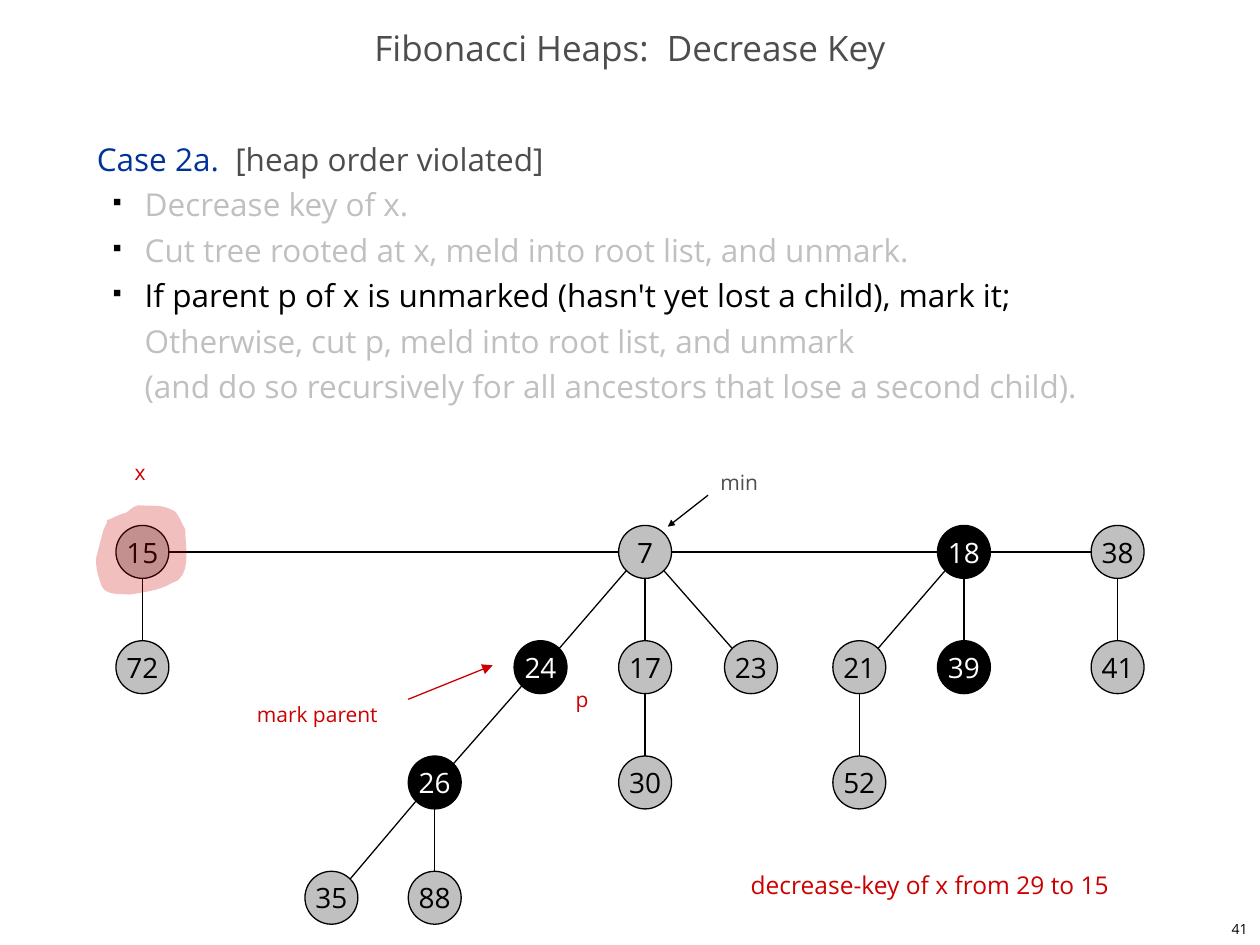
from dataclasses import dataclass

from pptx import Presentation
from pptx.dml.color import RGBColor
from pptx.enum.shapes import MSO_CONNECTOR as Connector, MSO_SHAPE as Shape
from pptx.enum.text import MSO_ANCHOR as Anchor, MSO_AUTO_SIZE as AutoSize, PP_ALIGN as Align
from pptx.oxml.xmlchemy import OxmlElement
from pptx.slide import Slide
from pptx.util import Inches, Pt


@dataclass(frozen=True)
class Theme:
    font: str = "Open Sans"
    black: str = "000000"
    white: str = "FFFFFF"
    marked: str = "010000"
    gray: str = "C0C0C0"
    text: str = "4D4D4D"
    blue: str = "003399"
    red: str = "CC0000"
    title_size: int = 20
    body_size: int = 18
    key_size: int = 16
    caption_size: int = 14
    label_size: int = 12
    number_size: int = 8
    line_width: float = 0.75
    body_spacing: int = 26


@dataclass(frozen=True)
class Node:
    key: int
    x: float
    level: int
    parent: int | None = None
    marked: bool = False

    @property
    def y(self) -> float:
        return 4.38 + 0.915 * self.level


@dataclass(frozen=True)
class Label:
    text: str
    left: float
    top: float
    width: float
    height: float
    size: int
    color: str
    align: Align = Align.LEFT
    anchor: Anchor = Anchor.TOP


@dataclass(frozen=True)
class Arrow:
    start: tuple[float, float]
    end: tuple[float, float]
    color: str
    head: str


THEME = Theme()
RADIUS = 0.21
DIAGONAL = 0.15  # RADIUS at 45 degrees

NODES = [
    Node(15, 1.13, 0), Node(7, 5.12, 0), Node(18, 7.65, 0, marked=True), Node(38, 8.87, 0),
    Node(72, 1.13, 1, 15), Node(24, 4.29, 1, 7, True), Node(17, 5.12, 1, 7),
    Node(23, 5.96, 1, 7), Node(21, 6.82, 1, 18), Node(39, 7.65, 1, 18, True),
    Node(41, 8.87, 1, 38), Node(26, 3.45, 2, 24, True), Node(30, 5.12, 2, 17),
    Node(52, 6.82, 2, 21), Node(35, 2.63, 3, 26), Node(88, 3.45, 3, 26),
]

LABELS = [
    Label("x", 0.97, 3.6, 0.3, 0.3, THEME.label_size, THEME.red),
    Label("min", 5.62, 3.68, 0.5, 0.3, THEME.label_size, THEME.text),
    Label("p", 4.47, 5.4, 0.3, 0.3, THEME.label_size, THEME.red),
    Label("mark parent", 1.94, 5.52, 1.31, 0.3, THEME.label_size, THEME.red),
    Label("decrease-key of x from 29 to 15", 5.86, 6.86, 3.84, 0.34,
          THEME.caption_size, THEME.red),
    Label("41", 7.92, 7.25, 2.08, 0.25, THEME.number_size, THEME.black,
          Align.RIGHT, Anchor.MIDDLE),
]

ARROWS = [
    Arrow((5.62, 3.93), (5.3, 4.18), THEME.black, "sm"),
    Arrow((3.24, 5.55), (3.91, 5.28), THEME.red, "med"),
]

# Each paragraph is a list of lines, each line a list of (text, colour) runs.
HEADING = [[("Case 2a.  ", THEME.blue), ("[heap order violated]", THEME.text)]]
STEPS = [
    [[("Decrease key of x.", THEME.gray)]],
    [[("Cut tree rooted at x, meld into root list, and unmark.", THEME.gray)]],
    [[("If parent p of x is unmarked (hasn't yet lost a child), mark it;", THEME.black)],
     [("Otherwise, cut p, meld into root list, and unmark", THEME.gray)],
     [("(and do so recursively for all ancestors that lose a second child).", THEME.gray)]],
]

HIGHLIGHT_START = (0.85, 4.13)
HIGHLIGHT_CURVES = [
    ((0.9, 4.11), (0.95, 4.08), (1, 4.07)),
    ((1.07, 4.02), (1.04, 4.03), (1.1, 4.01)),
    ((1.25, 4.02), (1.28, 4), (1.39, 4.06)),
    ((1.43, 4.11), (1.44, 4.15), (1.47, 4.2)),
    ((1.47, 4.33), (1.53, 4.59), (1.36, 4.63)),
    ((1.26, 4.69), (1.14, 4.7), (1.03, 4.72)),
    ((0.95, 4.71), (0.86, 4.73), (0.81, 4.66)),
    ((0.78, 4.57), (0.77, 4.56), (0.76, 4.44)),
    ((0.78, 4.36), (0.8, 4.29), (0.82, 4.21)),
    ((0.83, 4.18), (0.85, 4.16), (0.85, 4.13)),
]


def rgb(color: str) -> RGBColor:
    return RGBColor.from_string(color)


def add_element(parent, tag: str, **attributes: str):
    element = OxmlElement(tag)
    for name, value in attributes.items():
        element.set(name, value)
    parent.append(element)
    return element


def format_run(run, size: int, color: str) -> None:
    run.font.name = THEME.font
    run.font.size = Pt(size)
    run.font.color.rgb = rgb(color)


def set_text(shape, text: str, size: int, color: str, align: Align, anchor: Anchor) -> None:
    frame = shape.text_frame
    frame.text = text
    frame.vertical_anchor = anchor
    frame.paragraphs[0].alignment = align
    format_run(frame.paragraphs[0].runs[0], size, color)


def add_title(slide: Slide, text: str) -> None:
    title = slide.shapes.title
    title.left, title.top, title.width, title.height = map(Inches, (0, 0.17, 10, 0.5))
    set_text(title, text, THEME.title_size, THEME.text, Align.CENTER, Anchor.MIDDLE)
    title.text_frame.paragraphs[0].line_spacing = 0.7


def add_bullet(paragraph) -> None:
    properties = paragraph._p.get_or_add_pPr()
    properties.set("marL", str(Inches(0.38)))
    properties.set("indent", str(Inches(-0.25)))
    add_element(add_element(properties, "a:buClr"), "a:srgbClr", val=THEME.black)
    add_element(properties, "a:buSzPct", val="35000")
    add_element(properties, "a:buChar", char="■")


def add_body(slide: Slide) -> None:
    frame = slide.shapes.add_textbox(*map(Inches, (0.67, 1, 8.58, 5.92))).text_frame
    frame.word_wrap = True
    for index, lines in enumerate([HEADING, *STEPS]):
        paragraph = frame.add_paragraph() if index else frame.paragraphs[0]
        paragraph.line_spacing = Pt(THEME.body_spacing)
        if index:
            paragraph.level = 1
            add_bullet(paragraph)
        for line_index, line in enumerate(lines):
            if line_index:
                paragraph.add_line_break()
            for text, color in line:
                run = paragraph.add_run()
                run.text = text
                format_run(run, THEME.body_size, color)


def add_line(slide: Slide, start: tuple[float, float], end: tuple[float, float],
             color: str = THEME.black, head: str | None = None) -> None:
    line = slide.shapes.add_connector(Connector.STRAIGHT, *map(Inches, (*start, *end)))
    line.line.color.rgb = rgb(color)
    line.line.width = Pt(THEME.line_width)
    if head:
        add_element(line.line._get_or_add_ln(), "a:tailEnd", type="triangle", w=head, len=head)
    add_element(line._element.spPr, "a:effectLst")


def add_tree_edge(slide: Slide, parent: Node, child: Node) -> None:
    """Join the rims of two nodes, straight down or at 45 degrees."""
    side = (child.x > parent.x) - (child.x < parent.x)
    across = side * DIAGONAL
    down = DIAGONAL if side else RADIUS
    add_line(slide, (parent.x + across, parent.y + down), (child.x - across, child.y - down))


def add_node(slide: Slide, node: Node) -> None:
    box = (node.x - RADIUS, node.y - RADIUS, 2 * RADIUS, 2 * RADIUS)
    circle = slide.shapes.add_shape(Shape.OVAL, *map(Inches, box))
    circle.shadow.inherit = False
    circle.fill.solid()
    circle.fill.fore_color.rgb = rgb(THEME.marked if node.marked else THEME.gray)
    circle.line.color.rgb = rgb(THEME.black)
    circle.line.width = Pt(THEME.line_width)
    set_text(circle, str(node.key), THEME.key_size,
             THEME.white if node.marked else THEME.black, Align.CENTER, Anchor.MIDDLE)
    circle.text_frame.word_wrap = False


def add_heap(slide: Slide) -> None:
    by_key = {node.key: node for node in NODES}
    roots = [node for node in NODES if node.parent is None]
    for left, right in zip(roots, roots[1:]):
        add_line(slide, (left.x + RADIUS, left.y), (right.x - RADIUS, right.y))
    for node in NODES:
        if node.parent is not None:
            add_tree_edge(slide, by_key[node.parent], node)
    for node in NODES:
        add_node(slide, node)


def add_highlight(slide: Slide, steps: int = 8) -> None:
    """Draw the translucent blob, with each cubic curve sampled in equal steps."""
    points, start = [], HIGHLIGHT_START
    for curve in HIGHLIGHT_CURVES:
        for t in (step / steps for step in range(1, steps + 1)):
            weights = ((1 - t) ** 3, 3 * t * (1 - t) ** 2, 3 * t * t * (1 - t), t ** 3)
            points.append(tuple(Inches(sum(w * p[axis] for w, p in zip(weights, (start, *curve))))
                                for axis in (0, 1)))
        start = curve[-1]
    builder = slide.shapes.build_freeform(*map(Inches, HIGHLIGHT_START))
    builder.add_line_segments(points, close=True)
    blob = builder.convert_to_shape()
    blob.shadow.inherit = False
    blob.line.fill.background()
    blob.fill.solid()
    blob.fill.fore_color.rgb = rgb(THEME.red)
    color = blob._element.spPr.find(".//{*}solidFill/{*}srgbClr")
    add_element(color, "a:alpha", val="25000")


def add_label(slide: Slide, label: Label) -> None:
    box = slide.shapes.add_textbox(
        *map(Inches, (label.left, label.top, label.width, label.height)))
    set_text(box, label.text, label.size, label.color, label.align, label.anchor)
    box.text_frame.word_wrap = False
    if label.anchor == Anchor.TOP:
        box.text_frame.auto_size = AutoSize.SHAPE_TO_FIT_TEXT


def main() -> None:
    presentation = Presentation()
    presentation.slide_width, presentation.slide_height = Inches(10), Inches(7.5)
    slide = presentation.slides.add_slide(presentation.slide_layouts[5])
    add_title(slide, "Fibonacci Heaps:  Decrease Key")
    add_body(slide)
    add_heap(slide)
    add_highlight(slide)
    for arrow in ARROWS:
        add_line(slide, arrow.start, arrow.end, arrow.color, arrow.head)
    for label in LABELS:
        add_label(slide, label)
    presentation.save("out.pptx")


if __name__ == "__main__":
    main()
